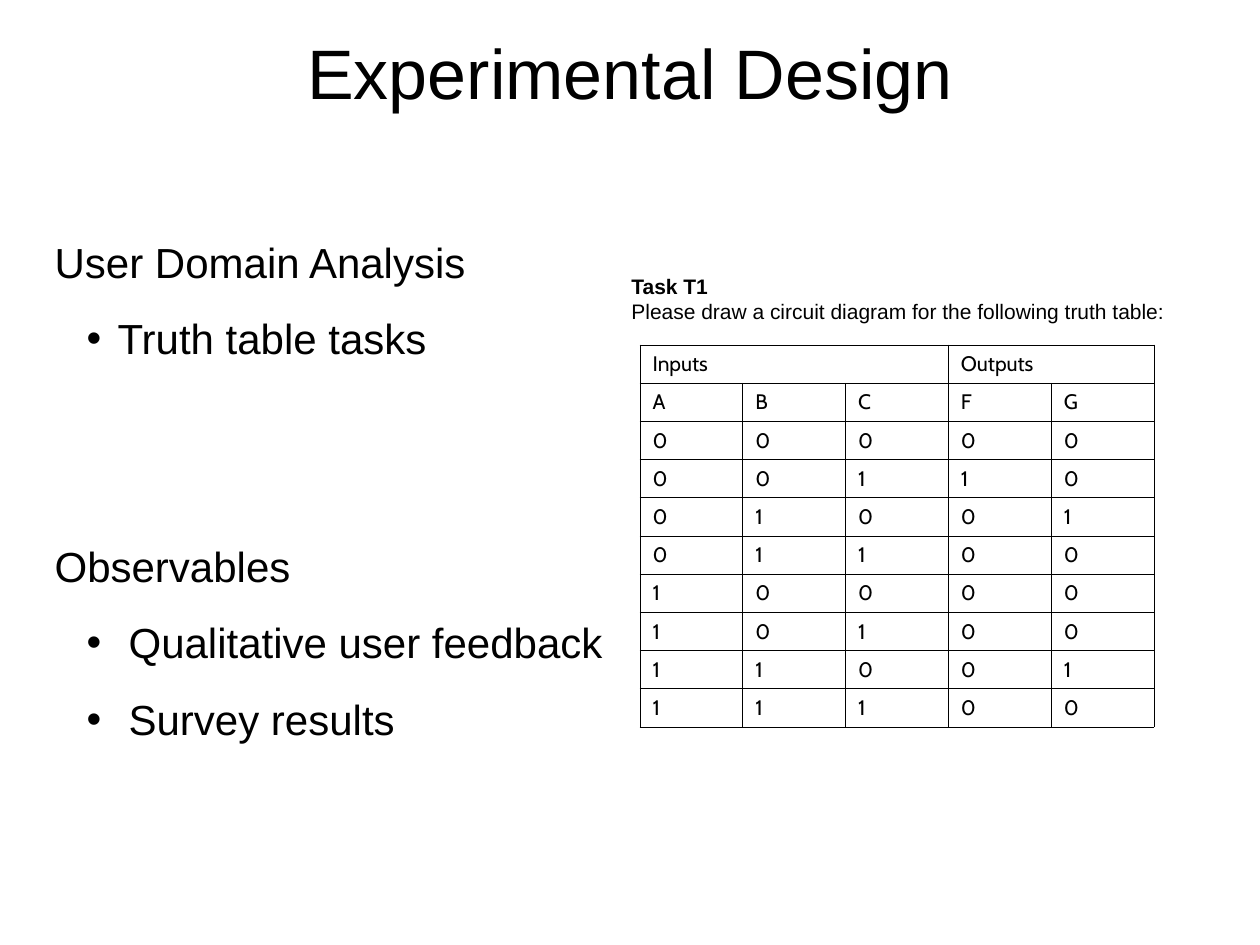
import dataclasses

import lxml.etree
import pptx
import pptx.dml.color
import pptx.enum.text
import pptx.oxml.ns
import pptx.util

EMU_PER_PX = 914400 / 126
BLACK = "000000"


@dataclasses.dataclass(frozen=True)
class Frame:
    left: int
    top: int
    width: int
    height: int


@dataclasses.dataclass(frozen=True)
class Line:
    text: str
    before: float = 0
    margin: int = 0
    bullet: bool = False
    bold: bool = False


BULLET_START = 32
TITLE = Frame(63, 38, 1134, 67)
OUTLINE = Frame(42, 230, 1176, 522)
TASK = Frame(619, 267, 600, 76)
TRUTH_TABLE = Frame(640, 345, 514, 382)

OUTLINE_LINES = [
    Line("User Domain Analysis"),
    Line("Truth table tasks", before=15, margin=63, bullet=True),
    Line("Observables", before=101),
    Line("Qualitative user feedback", before=15, margin=74, bullet=True),
    Line("Survey results", before=15, margin=74, bullet=True),
]
TASK_LINES = [
    Line("Task T1", bold=True),
    Line("Please draw a circuit diagram for the following truth table:"),
]
OUTPUTS = ["00", "10", "01", "00", "00", "00", "01", "00"]
TRUTH_ROWS = ["ABCFG"] + [f"{number:03b}{output}" for number, output in enumerate(OUTPUTS)]


def px(length: int) -> int:
    return round(length * EMU_PER_PX)


def color(value: str) -> pptx.dml.color.RGBColor:
    return pptx.dml.color.RGBColor.from_string(value)


def place(shape, frame: Frame) -> None:
    shape.left, shape.top = px(frame.left), px(frame.top)
    shape.width, shape.height = px(frame.width), px(frame.height)


def add_child(parent, tag: str, **attributes: str):
    return lxml.etree.SubElement(parent, pptx.oxml.ns.qn(tag), attributes)


def write(para, text: str, *, size: float, font: str = "Arial", bold: bool = False,
          align=pptx.enum.text.PP_ALIGN.LEFT, before: float = 0) -> None:
    para.alignment = align
    para.space_before = pptx.util.Pt(before)
    span = para.add_run()
    span.text = text
    span.font.name = font
    span.font.size = pptx.util.Pt(size)
    span.font.bold = bold
    span.font.color.rgb = color(BLACK)


def set_bullet(para, line: Line) -> None:
    properties = para._p.get_or_add_pPr()
    properties.set("marL", str(px(line.margin)))
    properties.set("indent", str(px(BULLET_START - line.margin) if line.bullet else 0))
    if line.bullet:
        add_child(properties, "a:buFont", typeface="Arial")
        add_child(properties, "a:buChar", char="•")
    else:
        add_child(properties, "a:buNone")


def write_lines(box, lines: list[Line], size: float) -> None:
    for index, line in enumerate(lines):
        para = box.add_paragraph() if index else box.paragraphs[0]
        set_bullet(para, line)
        write(para, line.text, size=size, bold=line.bold, before=line.before)


def draw_title(page) -> None:
    title = page.shapes.title
    place(title, TITLE)
    box = title.text_frame
    box.auto_size = pptx.enum.text.MSO_AUTO_SIZE.NONE
    box.vertical_anchor = pptx.enum.text.MSO_ANCHOR.MIDDLE
    write(box.paragraphs[0], "Experimental Design", size=40,
          align=pptx.enum.text.PP_ALIGN.CENTER)


def draw_outline(page) -> None:
    body = page.placeholders[1]
    place(body, OUTLINE)
    body.text_frame.auto_size = pptx.enum.text.MSO_AUTO_SIZE.NONE
    write_lines(body.text_frame, OUTLINE_LINES, 24)


def draw_task(page) -> None:
    task = page.shapes.add_textbox(0, 0, 0, 0)
    place(task, TASK)
    task.text_frame.word_wrap = True
    write_lines(task.text_frame, TASK_LINES, 12)


def style_cell(cell) -> None:
    properties = cell._tc.get_or_add_tcPr()
    for side in "LRTB":
        border = add_child(properties, f"a:ln{side}", w=str(pptx.util.Pt(0.45)))
        add_child(add_child(border, "a:solidFill"), "a:srgbClr", val=BLACK)
    cell.fill.background()


def draw_truth_table(page) -> None:
    rows = [["Inputs", "", "", "Outputs", ""]] + [list(row) for row in TRUTH_ROWS]
    holder = page.shapes.add_table(len(rows), len(rows[0]), 0, 0,
                                   px(TRUTH_TABLE.width), px(TRUTH_TABLE.height))
    place(holder, TRUTH_TABLE)
    table = holder.table
    table.first_row = False
    table.horz_banding = False
    table.cell(0, 0).merge(table.cell(0, 2))
    table.cell(0, 3).merge(table.cell(0, 4))
    for row_index, row in enumerate(rows):
        for column_index, text in enumerate(row):
            cell = table.cell(row_index, column_index)
            style_cell(cell)
            if text:
                write(cell.text_frame.paragraphs[0], text, size=12, font="Cabin")


def main() -> None:
    deck = pptx.Presentation()
    deck.slide_width, deck.slide_height = px(1260), px(945)
    page = deck.slides.add_slide(deck.slide_layouts[1])
    draw_title(page)
    draw_outline(page)
    draw_task(page)
    draw_truth_table(page)
    deck.save("out.pptx")


if __name__ == "__main__":
    main()
